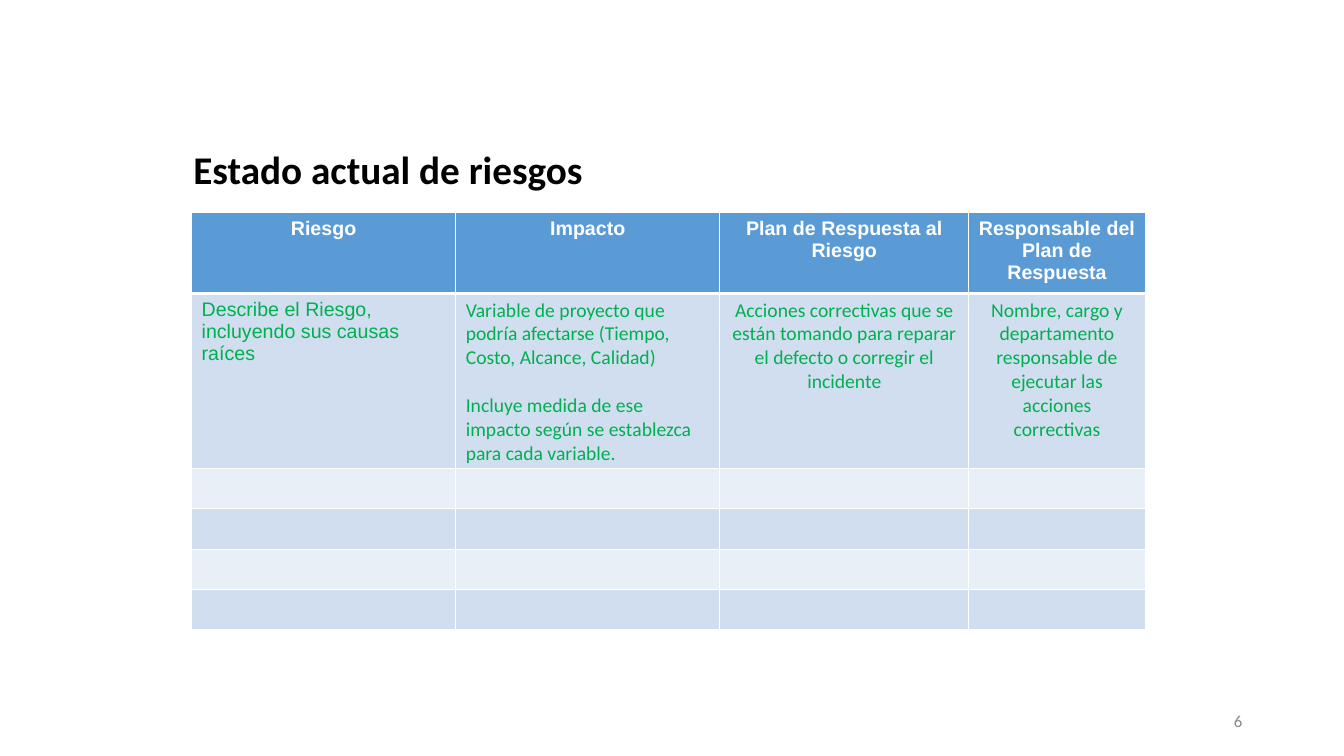
from lxml import etree
from pptx import Presentation
from pptx.dml.color import RGBColor
from pptx.enum import text
from pptx.oxml import ns
from pptx.util import Inches, Pt

COLORS = {"title": "000000", "number": "888888", "white": "FFFFFF", "header": "5B9BD5",
          "guide": "00B050", "dark_band": "D0DEEF", "light_band": "E9EFF7"}
TITLE = "Estado actual de riesgos"
PAGE_NUMBER = "6"
HEADINGS = ["Riesgo", "Impacto", "Plan de Respuesta al Riesgo",
            "Responsable del Plan de Respuesta"]
LEFT, CENTER, RIGHT = text.PP_ALIGN.LEFT, text.PP_ALIGN.CENTER, text.PP_ALIGN.RIGHT
GUIDANCE = [
    (["Describe el Riesgo, incluyendo sus causas raíces"], "Arial", LEFT),
    (["Variable de proyecto que podría afectarse (Tiempo, Costo, Alcance, Calidad)",
      "Incluye medida de ese impacto según se establezca para cada variable."],
     "Calibri", LEFT),
    (["Acciones correctivas que se están tomando para reparar el defecto "
      "o corregir el incidente"], "Calibri", CENTER),
    (["Nombre, cargo y departamento responsable de ejecutar las acciones correctivas"],
     "Calibri", CENTER),
]
COLUMN_WIDTHS = [2.62, 2.62, 2.47, 1.75]
ROW_COUNT, ROW_HEIGHT = 6, 0.39


def rgb(name):
    return RGBColor.from_string(COLORS[name])


def write(frame, lines, font, size, color, align, bold=False):
    for index, line in enumerate(lines):
        paragraph = frame.paragraphs[0] if index == 0 else frame.add_paragraph()
        paragraph.text = line
        paragraph.alignment = align
        if index:
            paragraph.space_before = Pt(17)
        paragraph.font.name = font
        paragraph.font.size = Pt(size)
        paragraph.font.bold = bold
        paragraph.font.color.rgb = rgb(color)


def add_label(slide, box, line, size, color, align, bold=False):
    frame = slide.shapes.add_textbox(*map(Inches, box)).text_frame
    frame.word_wrap = True
    frame.vertical_anchor = text.MSO_ANCHOR.MIDDLE
    write(frame, [line], "Calibri", size, color, align, bold)


def set_borders(cell, widths):
    properties = cell._tc.get_or_add_tcPr()
    for side, width in widths.items():
        border = etree.SubElement(properties, ns.qn(f"a:ln{side}"), w=str(Pt(width)))
        fill = etree.SubElement(border, ns.qn("a:solidFill"))
        etree.SubElement(fill, ns.qn("a:srgbClr"), val=COLORS["white"])


def add_risks(slide):
    risks = slide.shapes.add_table(
        ROW_COUNT, len(HEADINGS), Inches(1.9), Inches(2.11),
        Inches(sum(COLUMN_WIDTHS)), Inches(ROW_COUNT * ROW_HEIGHT)).table
    for column, width in zip(risks.columns, COLUMN_WIDTHS):
        column.width = Inches(width)
    for row_index, row in enumerate(risks.rows):
        row.height = Inches(ROW_HEIGHT)
        band = "header" if row_index == 0 else ("light_band", "dark_band")[row_index % 2]
        for cell in row.cells:
            set_borders(cell, {"L": 1, "R": 1, "T": 3 if row_index == 1 else 1,
                               "B": 3 if row_index == 0 else 1})
            cell.fill.solid()
            cell.fill.fore_color.rgb = rgb(band)
    for index, (heading, (lines, font, align)) in enumerate(zip(HEADINGS, GUIDANCE)):
        write(risks.cell(0, index).text_frame, [heading], "Arial", 14, "white", CENTER, True)
        write(risks.cell(1, index).text_frame, lines, font, 14, "guide", align)


def main():
    deck = Presentation()
    deck.slide_width, deck.slide_height = Inches(13.33), Inches(7.5)
    slide = deck.slides.add_slide(deck.slide_layouts[6])
    add_label(slide, (1.82, 1.48, 8.5, 0.39), TITLE, 28, "title", LEFT, True)
    add_label(slide, (9.42, 6.95, 3, 0.4), PAGE_NUMBER, 12, "number", RIGHT)
    add_risks(slide)
    deck.save("out.pptx")


if __name__ == "__main__":
    main()
